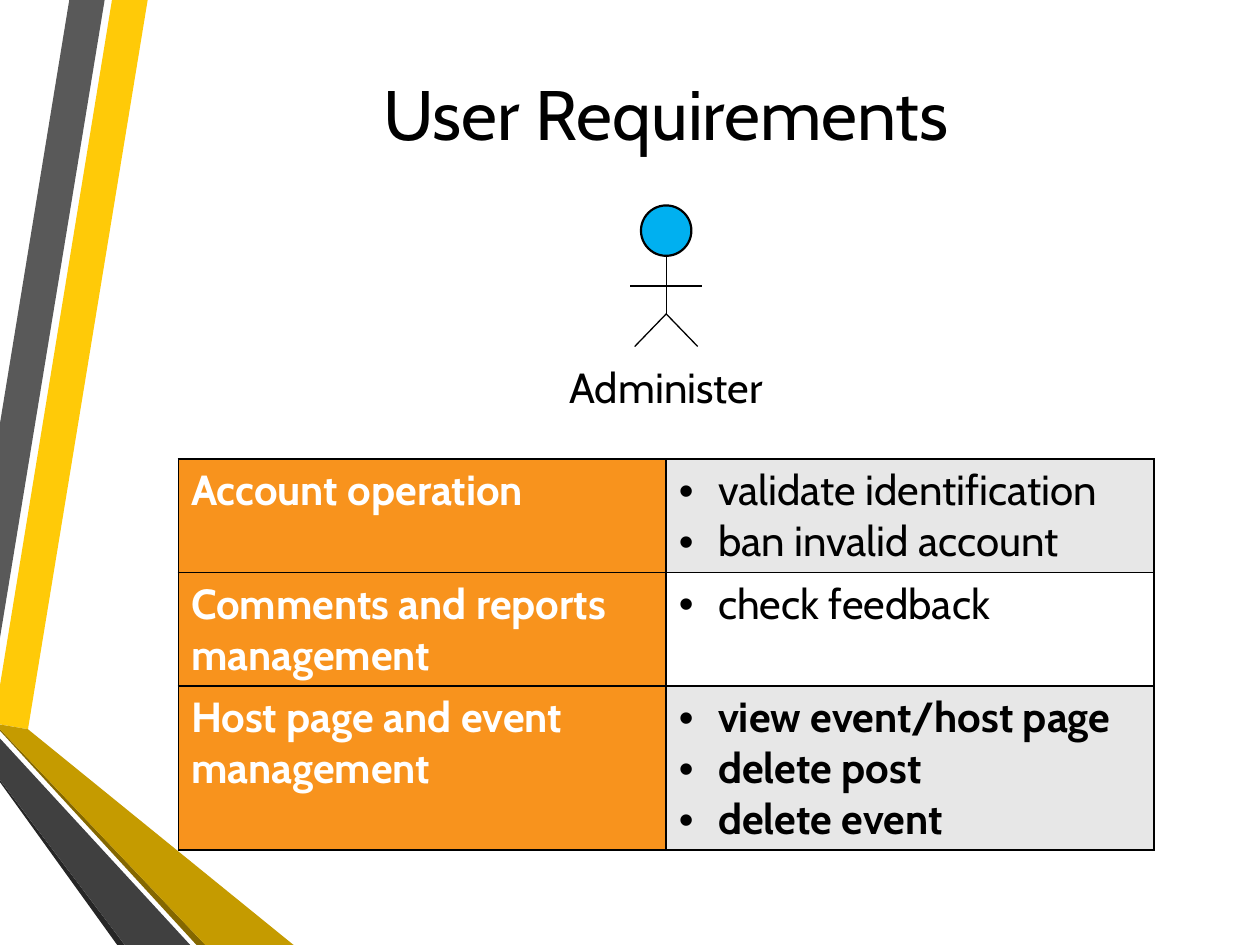
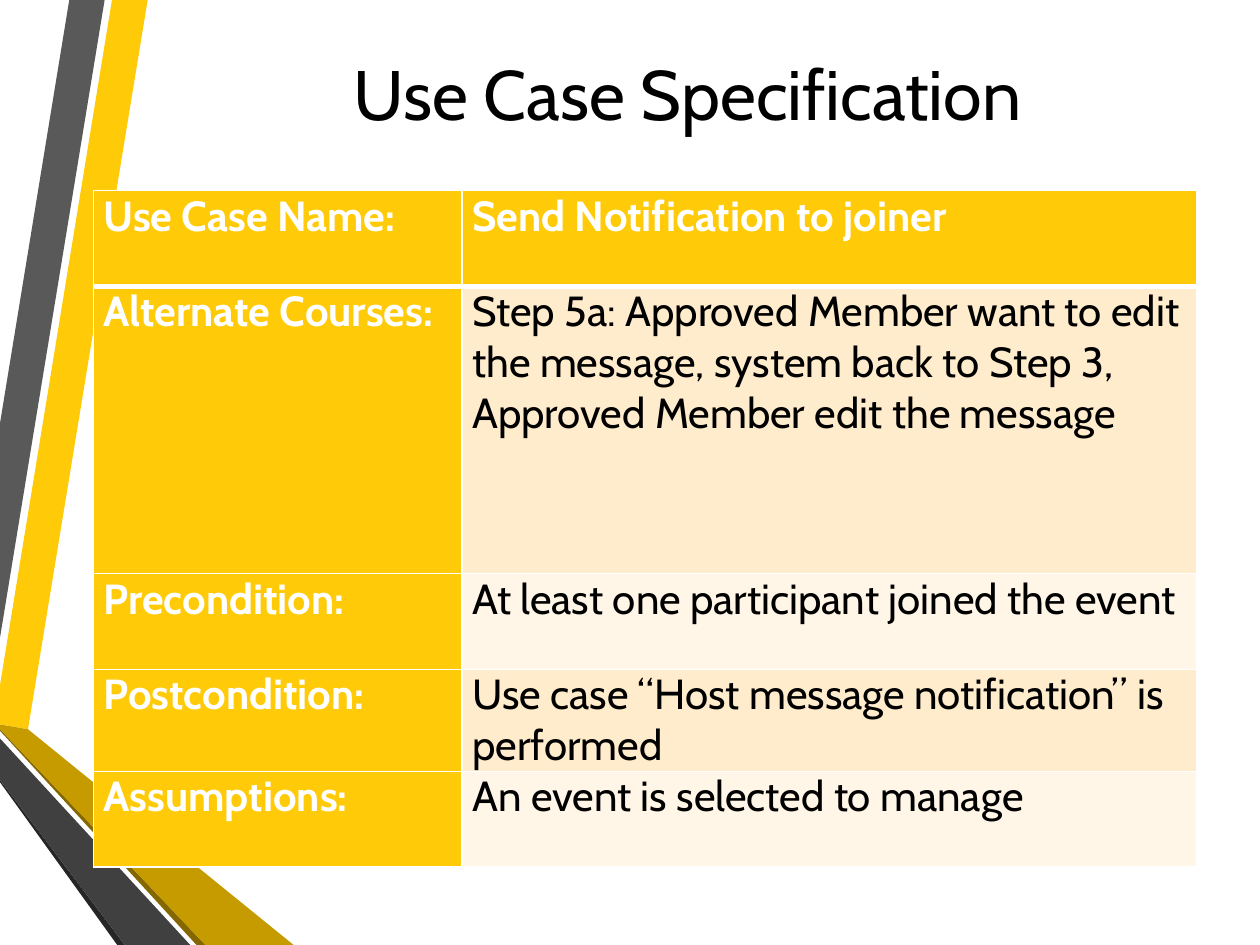
from pptx import Presentation
from pptx.dml.color import RGBColor
from pptx.enum.shapes import MSO_CONNECTOR, MSO_SHAPE
from pptx.enum.text import MSO_ANCHOR, PP_ALIGN
from pptx.oxml.ns import qn
from pptx.util import Pt
from lxml.etree import SubElement

BLACK = RGBColor(0x00, 0x00, 0x00)
WHITE = RGBColor(0xFF, 0xFF, 0xFF)
YELLOW = RGBColor(0xFF, 0xCA, 0x08)
GOLD = RGBColor(0xC5, 0x9B, 0x00)
BRONZE = RGBColor(0x84, 0x67, 0x00)
GRAY = RGBColor(0x59, 0x59, 0x59)
DARK_GRAY = RGBColor(0x40, 0x40, 0x40)
CHARCOAL = RGBColor(0x26, 0x26, 0x26)
ORANGE = RGBColor(0xF8, 0x93, 0x1D)
LIGHT_GRAY = RGBColor(0xE7, 0xE7, 0xE7)
SKY = RGBColor(0x00, 0xB0, 0xF0)
CREAM = RGBColor(0xFF, 0xEC, 0xCC)
PALE_CREAM = RGBColor(0xFF, 0xF6, 0xE7)

BANDS = [
    (YELLOW, [(0, 391.5), (0, 414), (16, 416.7), (84.4, 0), (64, 0)]),
    (GRAY, [(59.8, 0), (39.6, 0), (0, 242), (0, 364.5)]),
    (CHARCOAL, [(0, 445.7), (0, 447), (67, 540), (71.3, 540)]),
    (BRONZE, [(0, 416.7), (0, 417.6), (112.3, 540), (117.4, 540)]),
    (GOLD, [(0, 416.7), (117.4, 540), (167.8, 540), (16, 416.7), (0, 414)]),
    (DARK_GRAY, [(0, 445.7), (71.3, 540), (108.7, 540), (0, 422)]),
]


class Deck:
    font = "Cabin"
    title_size = 40
    body_size = 24

    def __init__(self):
        self.prs = Presentation()
        self.prs.slide_width, self.prs.slide_height = Pt(720), Pt(540)
        self.s = None

    def slide(self):
        self.s = self.prs.slides.add_slide(self.prs.slide_layouts[6])
        for color, points in BANDS:
            self.band(color, points)

    def band(self, color, points):
        start, *rest = [(Pt(x), Pt(y)) for x, y in points]
        builder = self.s.shapes.build_freeform(*start)
        builder.add_line_segments(rest, close=True)
        sp = builder.convert_to_shape()
        sp.shadow.inherit = False
        sp.fill.solid()
        sp.fill.fore_color.rgb = color
        sp.line.fill.background()

    def run(self, p, text, size, color=BLACK, bold=False):
        r = p.add_run()
        r.text = text
        r.font.name = self.font
        r.font.size = Pt(size)
        r.font.bold = bold
        r.font.color.rgb = color

    def text(self, x, y, w, h, text, size=body_size, anchor=MSO_ANCHOR.TOP):
        tf = self.s.shapes.add_textbox(Pt(x), Pt(y), Pt(w), Pt(h)).text_frame
        tf.word_wrap = True
        tf.vertical_anchor = anchor
        p = tf.paragraphs[0]
        p.alignment = PP_ALIGN.CENTER
        self.run(p, text, size)

    def title(self, x, y, w, h, text):
        self.text(x, y, w, h, text, self.title_size, MSO_ANCHOR.MIDDLE)

    def circle(self, x, y, d, color):
        sp = self.s.shapes.add_shape(MSO_SHAPE.OVAL, Pt(x), Pt(y), Pt(d), Pt(d))
        sp.shadow.inherit = False
        sp.fill.solid()
        sp.fill.fore_color.rgb = color
        sp.line.color.rgb = BLACK
        sp.line.width = Pt(1.25)

    def line(self, x1, y1, x2, y2):
        c = self.s.shapes.add_connector(
            MSO_CONNECTOR.STRAIGHT, Pt(x1), Pt(y1), Pt(x2), Pt(y2))
        c.line.color.rgb = BLACK
        c.line.width = Pt(0.75)
        SubElement(c._element.spPr, qn("a:effectLst"))

    def actor(self, cx, top, name):
        d, hip = 28.8, top + 62
        self.circle(cx - d / 2, top, d, SKY)
        self.line(cx - 20.6, top + 46, cx + 20.6, top + 46)
        self.line(cx, top + d, cx, hip)
        for side in (-1, 1):
            self.line(cx, hip, cx + side * 18, hip + 18.6)
        self.text(cx - 65, top + 85.7, 130, 36, name)

    def border(self, cell, color, widths):
        tcPr = cell._tc.get_or_add_tcPr()
        for side, width in zip("LRTB", widths):
            ln = SubElement(tcPr, qn(f"a:ln{side}"), w=str(Pt(width)))
            fill = SubElement(ln, qn("a:solidFill"))
            SubElement(fill, qn("a:srgbClr"), val=str(color))

    def bullet(self, p):
        pPr = p._p.get_or_add_pPr()
        pPr.set("marL", str(Pt(22.5)))
        pPr.set("indent", str(Pt(-22.5)))
        SubElement(pPr, qn("a:buFont"), typeface="Arial")
        SubElement(pPr, qn("a:buChar"), char="•")

    def cell(self, cell, lines, fill, color, bold, bullets):
        cell.fill.solid()
        cell.fill.fore_color.rgb = fill
        tf = cell.text_frame
        for i, text in enumerate(lines):
            p = tf.add_paragraph() if i else tf.paragraphs[0]
            if bullets:
                self.bullet(p)
            self.run(p, text, self.body_size, color, bold)

    def table(self, x, y, cols, heights, rows, label_fill, fills, line_color,
              margins, header=False, bullets=False, bold_rows=()):
        shape = self.s.shapes.add_table(
            len(rows), len(cols), Pt(x), Pt(y), Pt(sum(cols)), Pt(sum(heights)))
        table = shape.table
        table.first_row = table.horz_banding = False
        for column, width in zip(table.columns, cols):
            column.width = Pt(width)
        for i, (row, height, lines) in enumerate(zip(table.rows, heights, rows)):
            row.height = Pt(height)
            is_header = header and i == 0
            top = 3 if header and i == 1 else 1
            for j, cell in enumerate(row.cells):
                label = j == 0 or is_header
                cell.margin_left = cell.margin_right = Pt(margins[0])
                cell.margin_top = cell.margin_bottom = Pt(margins[1])
                self.border(cell, line_color, (1, 1, top, 3 if is_header else 1))
                self.cell(cell, lines[j],
                          label_fill if label else fills[(i - header) % 2],
                          WHITE if label else BLACK,
                          label or i in bold_rows, bullets and not label)


def user_requirements(deck):
    deck.slide()
    deck.title(77, 10.8, 607, 106.6, "User Requirements")
    deck.actor(380.7, 117.4, "Administer")
    rows = [
        (["Account operation"],
         ["validate identification", "ban invalid account"]),
        (["Comments and reports management"], ["check feedback"]),
        (["Host page and event management"],
         ["view event/host page", "delete post", "delete event"]),
    ]
    deck.table(102, 262.2, [278.7, 278.7], [64.7, 64.7, 93.8], rows, ORANGE,
               [LIGHT_GRAY, WHITE], BLACK, (7.2, 3.6), bullets=True,
               bold_rows=(2,))


def use_case_specification(deck):
    deck.slide()
    rows = [
        (["Use Case Name:"], ["Send Notification to joiner"]),
        (["Alternate Courses:"],
         ["Step 5a: Approved Member want to edit the message, system back to "
          "Step 3, Approved Member edit the message"]),
        (["Precondition:"], ["At least one participant joined the event"]),
        (["Postcondition:"],
         ["Use case “Host message notification” is performed"]),
        (["Assumptions:"], ["An event is selected to manage"]),
    ]
    deck.table(53.4, 108.9, [210.7, 420], [54.7, 164.2, 54.7, 58.2, 54.7], rows,
               YELLOW, [CREAM, PALE_CREAM], WHITE, (5.8, 0), header=True)
    deck.title(89.3, 23, 607, 59.8, "Use Case Specification")


def main():
    deck = Deck()
    user_requirements(deck)
    use_case_specification(deck)
    deck.prs.save("out.pptx")


if __name__ == "__main__":
    main()
